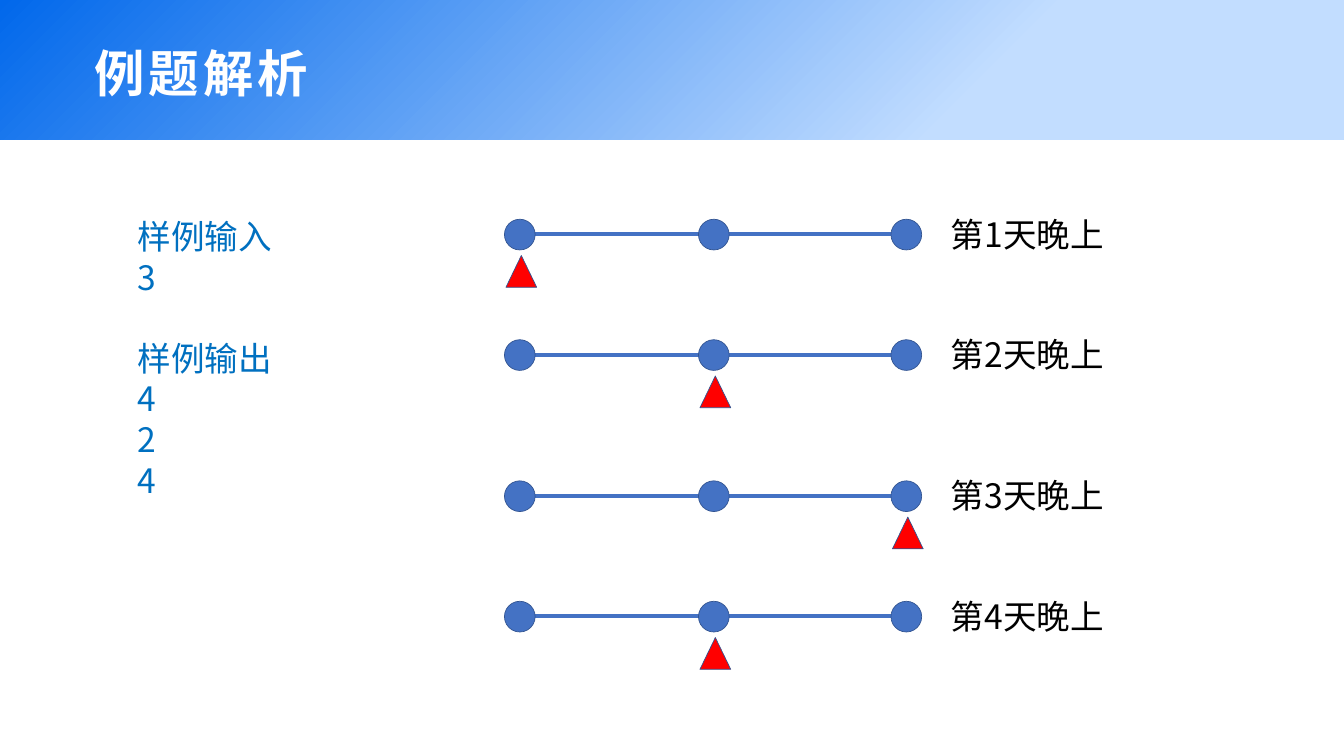
from dataclasses import dataclass

from lxml.etree import SubElement
from pptx import Presentation
from pptx.dml.color import RGBColor
from pptx.enum.shapes import MSO_CONNECTOR, MSO_SHAPE
from pptx.enum.text import MSO_ANCHOR, PP_ALIGN
from pptx.oxml.ns import qn
from pptx.util import Inches, Pt


@dataclass(frozen=True)
class Theme:
    font: str = "Noto Sans CJK SC"
    title_size: int = 72
    body_size: int = 48
    title_leading: int = 87
    body_leading: int = 58
    title_tracking: int = 6
    white: str = "FFFFFF"
    black: str = "000000"
    sample: str = "0070C0"
    node: str = "4472C4"
    outline: str = "325491"
    marker: str = "FF0000"
    band_start: str = "0168EB"
    band_end: str = "C2DDFF"


def color(value):
    return RGBColor.from_string(value)


class SlideBuilder:
    def __init__(self, page, theme):
        self.page = page
        self.theme = theme

    def place(self, box, left, top, width, height):
        box.left, box.top = Inches(left), Inches(top)
        box.width, box.height = Inches(width), Inches(height)

    def add_span(self, para, text, size, leading, ink, bold=False, tracking=0):
        para.alignment = PP_ALIGN.LEFT
        para.line_spacing = Pt(leading)
        para.space_before = Pt(0)
        span = para.add_run()
        span.text = text
        span.font.name = self.theme.font
        span.font.size = Pt(size)
        span.font.bold = bold
        span.font.color.rgb = color(ink)
        properties = span.font._element
        SubElement(properties, qn("a:ea")).set("typeface", self.theme.font)
        if tracking:
            properties.set("spc", str(tracking * 100))

    def band(self, width, height):
        band = self.page.shapes.add_shape(
            MSO_SHAPE.ROUNDED_RECTANGLE, 0, 0, Inches(width), Inches(height))
        band.adjustments[0] = 0
        band.shadow.inherit = False
        band.line.fill.background()
        band.fill.gradient()
        band.fill.gradient_angle = 315
        start, end = band.fill.gradient_stops
        start.position, end.position = 0, 0.72
        start.color.rgb = color(self.theme.band_start)
        end.color.rgb = color(self.theme.band_end)
        # Keep the band behind the title
        self.page.shapes._spTree.insert(2, band._element)

    def title(self, text, left, top, width, height):
        box = self.page.shapes.title
        self.place(box, left, top, width, height)
        frame = box.text_frame
        frame.vertical_anchor = MSO_ANCHOR.MIDDLE
        self.add_span(frame.paragraphs[0], text, self.theme.title_size,
                      self.theme.title_leading, self.theme.white,
                      bold=True, tracking=self.theme.title_tracking)

    def text(self, groups, left, top, width, height, ink):
        """Set groups of lines, one line of space between groups."""
        box = self.page.shapes.add_textbox(
            Inches(left), Inches(top), Inches(width), Inches(height))
        frame = box.text_frame
        frame.word_wrap = True
        para = frame.paragraphs[0]
        for group_index, lines in enumerate(groups):
            for line_index, line in enumerate(lines):
                if group_index or line_index:
                    para = frame.add_paragraph()
                self.add_span(para, line, self.theme.body_size,
                              self.theme.body_leading, ink)
                if group_index and not line_index:
                    para.space_before = Pt(self.theme.body_leading)

    def line(self, left, right, y):
        line = self.page.shapes.add_connector(
            MSO_CONNECTOR.STRAIGHT, Inches(left), Inches(y), Inches(right), Inches(y))
        line.line.color.rgb = color(self.theme.node)
        line.line.width = Pt(6)
        SubElement(line._element.spPr, qn("a:effectLst"))

    def shape(self, kind, left, top, width, height, fill):
        shape = self.page.shapes.add_shape(
            kind, Inches(left), Inches(top), Inches(width), Inches(height))
        shape.shadow.inherit = False
        shape.fill.solid()
        shape.fill.fore_color.rgb = color(fill)
        shape.line.color.rgb = color(self.theme.outline)
        shape.line.width = Pt(1)

    def night(self, day, y, station):
        """Draw three stations on a line, marking the one visited that night."""
        node_size = 0.61
        columns = (10.01, 13.86, 17.68)
        node_top = y - 0.3
        self.line(10.3, 18.28, y)
        for left in columns:
            self.shape(MSO_SHAPE.OVAL, left, node_top, node_size, node_size,
                       self.theme.node)
        self.shape(MSO_SHAPE.ISOSCELES_TRIANGLE, columns[station] + 0.03,
                   node_top + 0.72, node_size, 0.63, self.theme.marker)
        self.text([[f"第{day}天晚上"]], 18.77, y - 0.47, 4.2, 0.91,
                  self.theme.black)


def main():
    deck = Presentation()
    deck.slide_width, deck.slide_height = Inches(26.67), Inches(15)
    page = deck.slides.add_slide(deck.slide_layouts[5])
    theme = Theme()
    builder = SlideBuilder(page, theme)

    # Header
    builder.band(26.67, 2.76)
    builder.title("例题解析", 1.77, 0.77, 8.56, 1.31)

    # Sample input and output
    builder.text([["样例输入", "3"], ["样例输出", "4", "2", "4"]],
                 2.63, 4.23, 4.2, 5.76, theme.sample)

    # Position on each night: line height and station index
    nights = [(4.65, 0), (7.04, 1), (9.84, 2), (12.23, 1)]
    for day, (y, station) in enumerate(nights, start=1):
        builder.night(day, y, station)

    deck.save("out.pptx")


if __name__ == "__main__":
    main()
